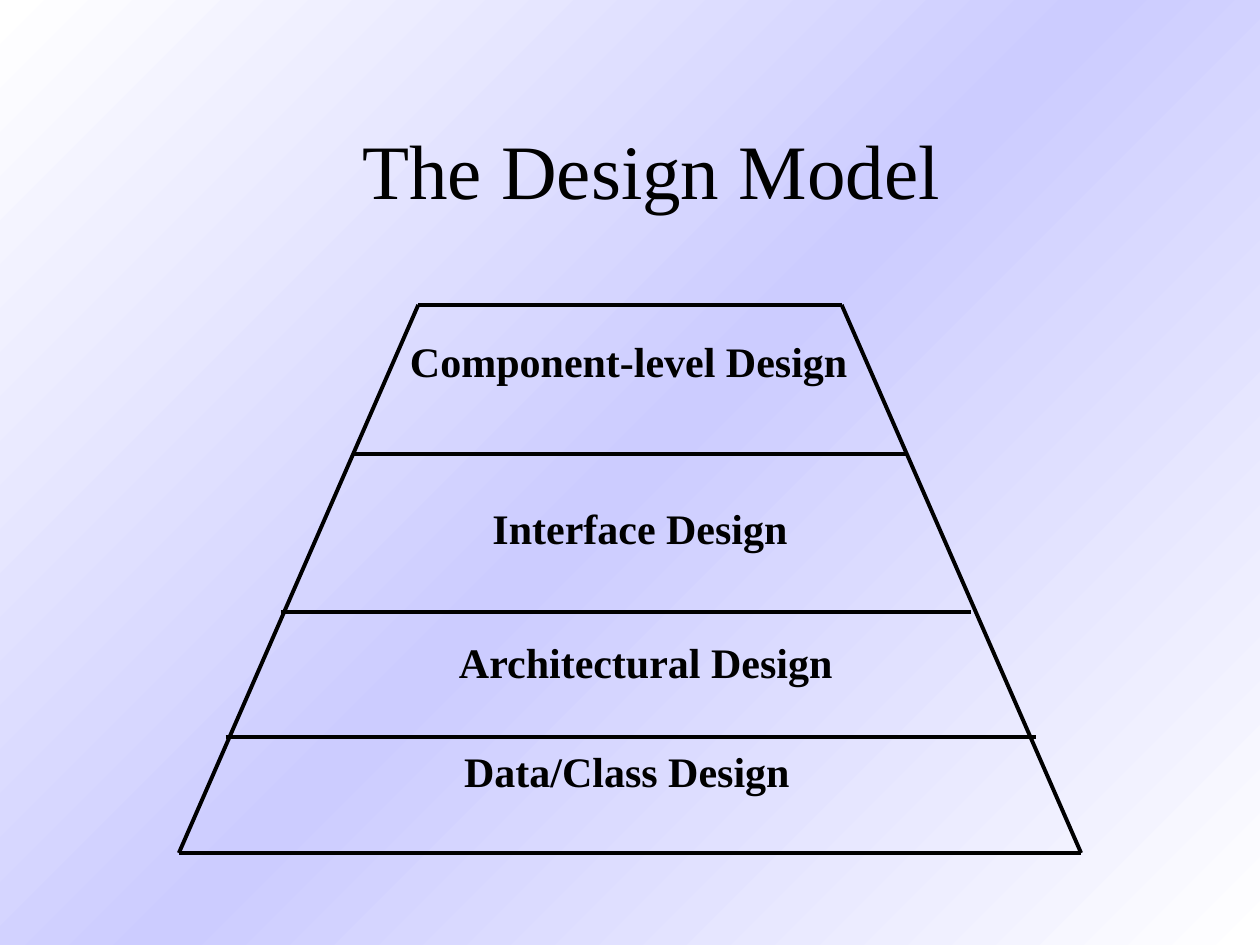
from copy import deepcopy

from pptx import Presentation
from pptx.dml.color import RGBColor
from pptx.enum.shapes import MSO_CONNECTOR as Connector
from pptx.enum.text import MSO_ANCHOR as Anchor, PP_ALIGN as Align
from pptx.oxml.ns import qn
from pptx.util import Inches, Pt
from lxml.etree import SubElement

COLORS = {"ink": "000000", "edge": "FFFFFF", "middle": "CCCCFF"}

LABELS = [
    ("Component-level Design", 2.78, 2.64, 4.42),
    ("Interface Design", 3.55, 3.97, 3.06),
    ("Architectural Design", 3.22, 5.03, 3.81),
    ("Data/Class Design", 3.3, 5.9, 3.35),
]
LEVELS = [
    (3.32, 6.68, 2.42),
    (2.81, 7.19, 3.6),
    (2.23, 7.71, 4.86),
    (1.79, 8.22, 5.85),
    (1.42, 8.58, 6.77),
]


class SlideBuilder:
    """Draws styled elements on the current slide."""

    font_name = "Times New Roman"
    line_width = Pt(2.25)

    def __init__(self, slide):
        self.slide = slide

    def color(self, name):
        return RGBColor.from_string(COLORS[name])

    def background(self, names, angle):
        fill = self.slide.background.fill
        fill.gradient()
        fill.gradient_angle = angle
        first = fill.gradient_stops[0]
        first._gs.addnext(deepcopy(first._gs))
        for index, (stop, name) in enumerate(zip(fill.gradient_stops, names)):
            stop.color.rgb = self.color(name)
            stop.position = index / (len(names) - 1)

    def text(self, words, left, top, width, height, size,
             bold=False, wrap=False, anchor=Anchor.TOP):
        box = self.slide.shapes.add_textbox(
            Inches(left), Inches(top), Inches(width), Inches(height))
        frame = box.text_frame
        frame.word_wrap = wrap
        frame.vertical_anchor = anchor
        paragraph = frame.paragraphs[0]
        paragraph.text = words
        paragraph.alignment = Align.CENTER
        paragraph.line_spacing = 0.95
        font = paragraph.font
        font.name, font.size, font.bold = self.font_name, Pt(size), bold
        font.color.rgb = self.color("ink")

    def line(self, x1, y1, x2, y2):
        connector = self.slide.shapes.add_connector(
            Connector.STRAIGHT, Inches(x1), Inches(y1), Inches(x2), Inches(y2))
        connector.line.color.rgb = self.color("ink")
        connector.line.width = self.line_width
        SubElement(connector._element.spPr, qn("a:effectLst"))


def main():
    presentation = Presentation()
    presentation.slide_width, presentation.slide_height = Inches(10), Inches(7.5)
    builder = SlideBuilder(
        presentation.slides.add_slide(presentation.slide_layouts[6]))
    builder.background(["edge", "middle", "edge"], 135)
    builder.text("The Design Model", 0.92, 0.75, 8.5, 1.25, 44,
                 wrap=True, anchor=Anchor.MIDDLE)
    for words, left, top, width in LABELS:
        builder.text(words, left, top, width, 1.02, 24, bold=True)
    for left, right, y in LEVELS:
        builder.line(left, y, right, y)
    top_level, base_level = LEVELS[0], LEVELS[-1]
    for side in (0, 1):
        builder.line(top_level[side], top_level[2], base_level[side], base_level[2])
    presentation.save("out.pptx")


if __name__ == "__main__":
    main()
